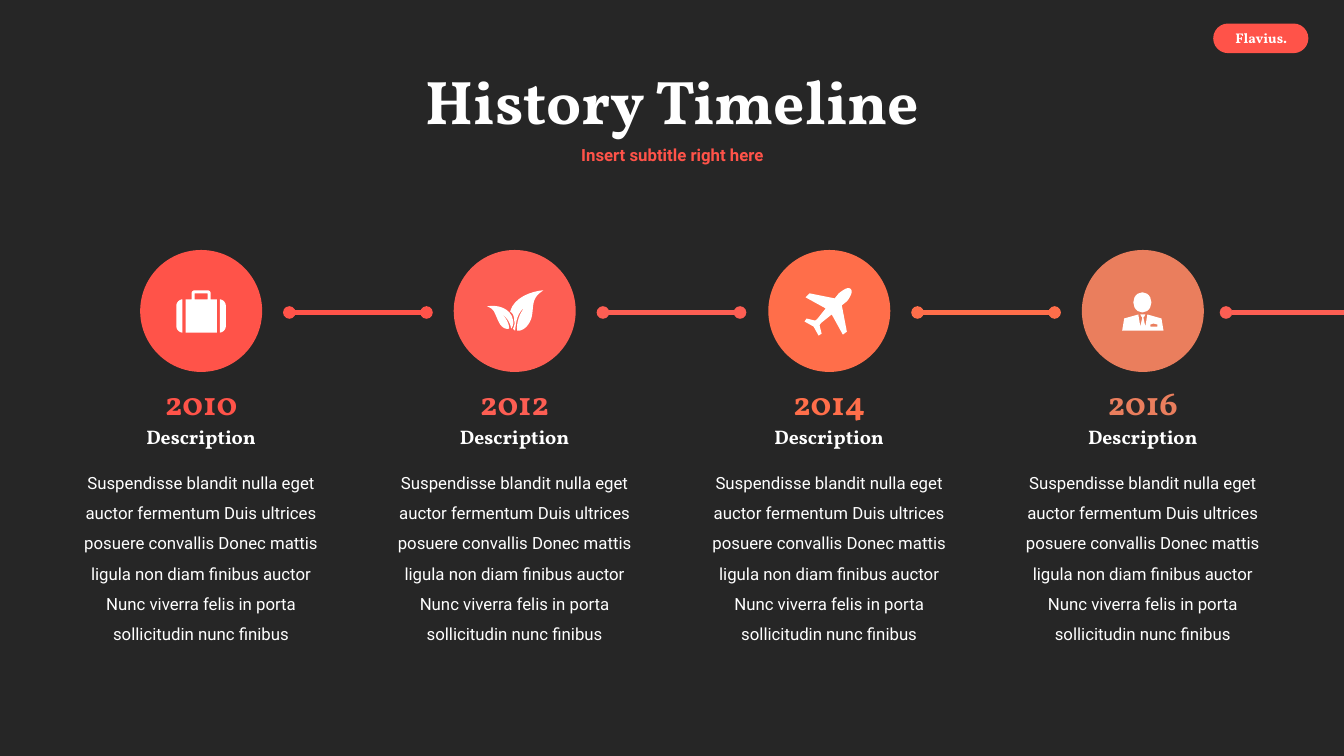
import pptx
import pptx.util
import pptx.dml.color
import pptx.enum.shapes
import pptx.enum.text
import pptx.oxml.ns
from lxml import etree

RGBColor = pptx.dml.color.RGBColor
MSO_SHAPE = pptx.enum.shapes.MSO_SHAPE
ANCHOR = pptx.enum.text.MSO_ANCHOR
qn = pptx.oxml.ns.qn

PX = 9144  # 100 px to the inch
DARK = RGBColor(0x26, 0x26, 0x26)
WHITE = RGBColor(0xFF, 0xFF, 0xFF)
RED = RGBColor(0xFF, 0x53, 0x49)
CORAL = RGBColor(0xFD, 0x5E, 0x53)
ORANGE = RGBColor(0xFF, 0x6E, 0x4A)
CLAY = RGBColor(0xEA, 0x7E, 0x5D)
BLURB = ("Suspendisse blandit nulla eget auctor fermentum Duis ultrices posuere "
         "convallis Donec mattis ligula non diam finibus auctor Nunc viverra felis "
         "in porta sollicitudin nunc finibus")

deck = pptx.Presentation()
deck.slide_width, deck.slide_height = 1333 * PX, 750 * PX
page = deck.slides.add_slide(deck.slide_layouts[0])
page.background.fill.solid()
page.background.fill.fore_color.rgb = DARK


def write(box, place, text, font, size, color, bold=True, spacing=1.0, anchor=ANCHOR.TOP):
    """Place a box and fill it with one centred paragraph."""
    box.left, box.top, box.width, box.height = [length * PX for length in place]
    frame = box.text_frame
    frame.word_wrap = True
    frame.auto_size = pptx.enum.text.MSO_AUTO_SIZE.NONE
    frame.vertical_anchor = anchor
    para = frame.paragraphs[0]
    para.alignment = pptx.enum.text.PP_ALIGN.CENTER
    para.line_spacing = spacing
    para.space_before = pptx.util.Pt(0)
    span = para.add_run()
    span.text = text
    span.font.name = font
    span.font.size = pptx.util.Pt(size)
    span.font.bold = bold
    span.font.color.rgb = color


def paint(shape, color):
    """Give a shape a plain fill without outline or shadow."""
    shape.shadow.inherit = False
    shape.fill.solid()
    shape.fill.fore_color.rgb = color
    shape.line.fill.background()


# Name badge
badge = page.shapes.add_shape(MSO_SHAPE.ROUNDED_RECTANGLE, 1204 * PX, 24 * PX, 93 * PX, 28 * PX)
badge.adjustments[0] = 0.5
paint(badge, RED)
badge.line.color.rgb = RED
badge.line.width = pptx.util.Pt(1)
write(page.shapes.add_textbox(0, 0, 0, 0), (1213, 24, 76, 27), "Flavius.", "Vollkorn", 10, WHITE)

# Title and subtitle
write(page.shapes.title, (292, 52, 750, 103), "History Timeline", "Vollkorn", 44, WHITE,
      spacing=0.9, anchor=ANCHOR.MIDDLE)
write(page.placeholders[1], (292, 136, 750, 38), "Insert subtitle right here", "Roboto", 12, RED,
      spacing=0.9, anchor=ANCHOR.MIDDLE)

# Milestones: circle, year, heading and text
milestones = [("2010", RED), ("2012", CORAL), ("2014", ORANGE), ("2016", CLAY)]
for index, (year, color) in enumerate(milestones):
    left = 68 + round(index * 311.4)
    circle = page.shapes.add_shape(MSO_SHAPE.OVAL, (left + 71) * PX, 248 * PX, 121 * PX, 121 * PX)
    paint(circle, color)
    for place, text, font, size, ink, bold, spacing in [
        ((left, 454, 263, 189), BLURB, "Roboto", 12, WHITE, False, 1.5),
        ((left + 57, 374, 149, 50), year, "Vollkorn", 24, color, True, 1.0),
        ((left + 40, 417, 183, 34), "Description", "Vollkorn", 14, WHITE, True, 1.0),
    ]:
        write(page.shapes.add_textbox(0, 0, 0, 0), place, text, font, size, ink, bold, spacing)

# Links between milestones; the last one runs on past the slide edge
for start, color in [(287, RED), (598, CORAL), (910, ORANGE), (1216, CORAL)]:
    link = page.shapes.add_connector(pptx.enum.shapes.MSO_CONNECTOR.STRAIGHT,
                                     start * PX, 310 * PX, (start + 136) * PX, 310 * PX)
    link.line.color.rgb = color
    link.line.width = pptx.util.Pt(3)
    properties = link.element.spPr
    for end in ("a:headEnd", "a:tailEnd"):
        etree.SubElement(properties.find(qn("a:ln")), qn(end), type="oval")
    etree.SubElement(properties, qn("a:effectLst"))

# Icon outlines: a pair is a corner, six numbers are a Bézier curve
suitcase = [
    [[(175, 303), (175, 324), (175, 327, 178, 330, 181, 330), (181, 297),
      (178, 297, 175, 300, 175, 303)]],
    [[(209, 291), (209, 289, 207, 288, 206, 288), (193, 288), (192, 288, 190, 289, 190, 291),
      (190, 297), (184, 297), (184, 330), (215, 330), (215, 297), (209, 297)],
     [(206, 297), (193, 297), (193, 291), (206, 291)]],
    [[(218, 297), (218, 330), (221, 330, 224, 327, 224, 324), (224, 303),
      (224, 300, 221, 297, 218, 297)]],
]
leaves = [
    [[(483, 304), (486, 305, 488, 306, 490, 309), (492, 313, 493, 316, 495, 320),
      (498, 326, 503, 327, 505, 326), (505, 321, 502, 315, 497, 311),
      (503, 315, 506, 320, 507, 326), (507, 326, 510, 323, 509, 318),
      (507, 305, 492, 302, 483, 304)]],
    [[(506, 309), (509, 311, 510, 314, 510, 318), (511, 321, 510, 323, 509, 326),
      (509, 327, 511, 328, 511, 328), (512, 318, 513, 311, 521, 304),
      (515, 311, 512, 321, 513, 328), (517, 329, 524, 325, 527, 316),
      (529, 309, 528, 304, 530, 298), (532, 293, 535, 291, 539, 288),
      (527, 289, 510, 295, 506, 309)]],
]
plane = [
    [[(844, 287), (842, 284, 837, 287, 832, 291), (828, 296), (803, 291), (799, 295),
      (819, 306), (811, 316), (810, 317, 809, 318, 808, 318), (800, 316), (798, 319),
      (807, 324), (812, 333), (815, 331), (813, 323), (813, 322, 814, 321, 815, 320),
      (825, 312), (836, 332), (840, 329), (835, 303), (840, 299),
      (844, 294, 846, 289, 844, 287)]],
]
suit = [
    [[(1152, 316), (1138, 312), (1136, 324), (1134, 315), (1135, 314), (1136, 312),
      (1131, 312), (1132, 314), (1133, 315), (1131, 324), (1129, 312), (1115, 316),
      (1113, 328), (1154, 328)],
     [(1148, 324), (1141, 324), (1141, 322), (1144, 321), (1148, 322)]],
]

# Icons
for outline in suitcase + leaves + plane + suit:
    builder = None
    for contour in outline:
        points = [contour[0]]
        for step in contour[1:]:
            if len(step) == 2:
                points.append(step)
                continue
            x0, y0 = points[-1]
            x1, y1, x2, y2, x3, y3 = step
            for part in range(1, 9):
                t = part / 8
                a, b, c, d = (1 - t) ** 3, 3 * t * (1 - t) ** 2, 3 * t * t * (1 - t), t ** 3
                points.append((a * x0 + b * x1 + c * x2 + d * x3,
                               a * y0 + b * y1 + c * y2 + d * y3))
        corners = [(round(x * PX), round(y * PX)) for x, y in points]
        if builder is None:
            builder = page.shapes.build_freeform(*corners[0], scale=1.0)
        else:
            builder.move_to(*corners[0])
        builder.add_line_segments(corners[1:], close=True)
    paint(builder.convert_to_shape(), WHITE)

head = page.shapes.add_shape(MSO_SHAPE.OVAL, 1124 * PX, 290 * PX, 18 * PX, 20 * PX)
paint(head, WHITE)

deck.save("out.pptx")
